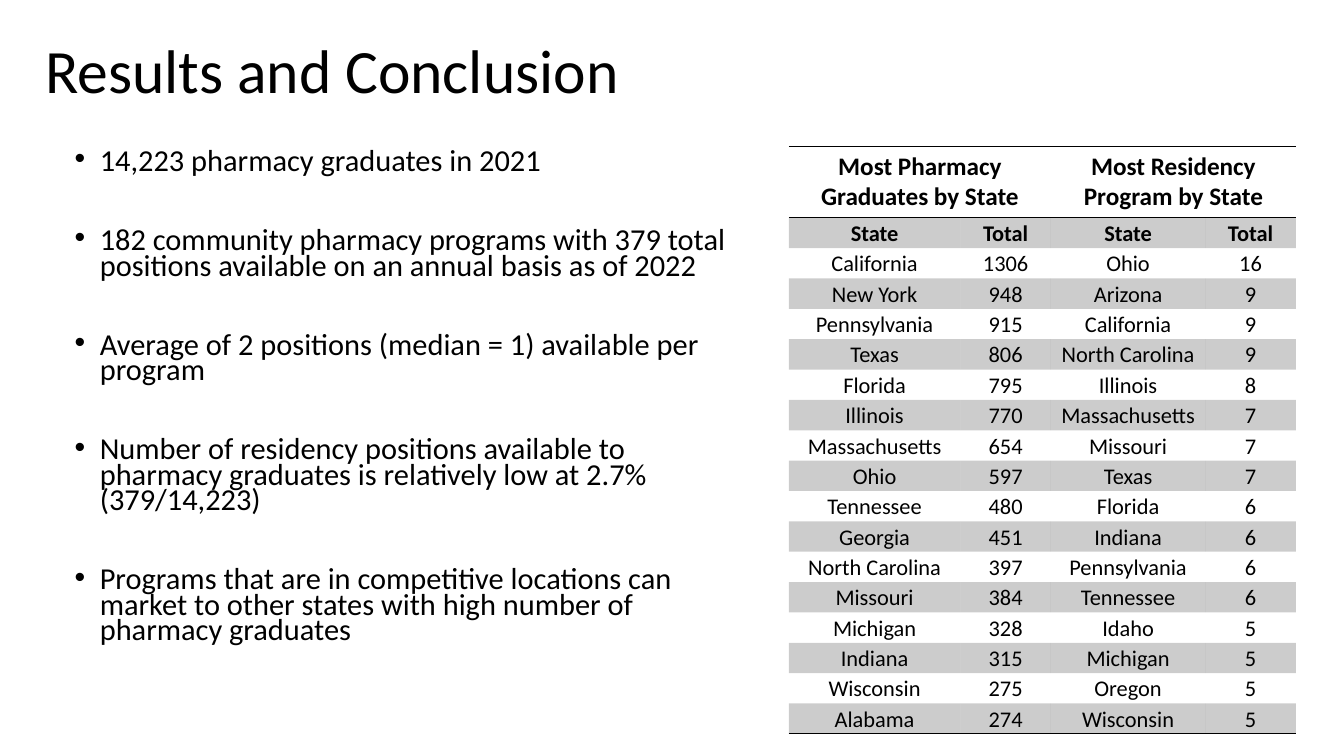
from pptx import Presentation
from pptx.dml.color import RGBColor
from pptx.enum.text import MSO_ANCHOR as Anchor, MSO_AUTO_SIZE as AutoSize, PP_ALIGN as Align
from pptx.oxml.ns import qn
from pptx.oxml.xmlchemy import OxmlElement as Element
from pptx.util import Inches, Pt

WIDTH, HEIGHT = Inches(13.33), Inches(7.5)
FONT, BLACK = "Calibri", "000000"
PLAIN_STYLE = "{2D5ABB26-0587-4C30-8999-92F81FD0307C}"  # no style, no grid

TITLE = "Results and Conclusion"
FINDINGS = [
    "14,223 pharmacy graduates in 2021",
    "182 community pharmacy programs with 379 total positions available "
    "on an annual basis as of 2022",
    "Average of 2 positions (median = 1) available per program",
    "Number of residency positions available to pharmacy graduates is "
    "relatively low at 2.7% (379/14,223)",
    "Programs that are in competitive locations can market to other states "
    "with high number of pharmacy graduates",
]
HEADINGS = ["Most Pharmacy Graduates by State", "Most Residency Program by State"]
STATES = [
    ("State", "Total", "State", "Total"),
    ("California", 1306, "Ohio", 16),
    ("New York", 948, "Arizona", 9),
    ("Pennsylvania", 915, "California", 9),
    ("Texas", 806, "North Carolina", 9),
    ("Florida", 795, "Illinois", 8),
    ("Illinois", 770, "Massachusetts", 7),
    ("Massachusetts", 654, "Missouri", 7),
    ("Ohio", 597, "Texas", 7),
    ("Tennessee", 480, "Florida", 6),
    ("Georgia", 451, "Indiana", 6),
    ("North Carolina", 397, "Pennsylvania", 6),
    ("Missouri", 384, "Tennessee", 6),
    ("Michigan", 328, "Idaho", 5),
    ("Indiana", 315, "Michigan", 5),
    ("Wisconsin", 275, "Oregon", 5),
    ("Alabama", 274, "Wisconsin", 5),
]
COLUMN_SHARES = [12.75, 6.75, 11.48, 6.75]
HEADING_SHARE, ROW_SHARE = 9.47, 4.02


def across(share):
    """Percent of the slide width."""
    return int(WIDTH * share / 100)


def down(share):
    """Percent of the slide height."""
    return int(HEIGHT * share / 100)


def color(hex_code):
    return RGBColor.from_string(hex_code)


def set_all(target, formats):
    for name, value in formats.items():
        setattr(target, name, value)


def place(sp, left, top, width, height):
    set_all(sp, {"left": across(left), "top": down(top),
                 "width": across(width), "height": down(height)})


def write(p, text, size, bold=False, **formats):
    r = p.add_run()
    r.text = str(text)
    set_all(r.font, {"name": FONT, "size": Pt(size), "bold": bold})
    r.font.color.rgb = color(BLACK)
    set_all(p, formats)


def fill_title(sp):
    place(sp, 2.6, 0, 86.27, 19.33)
    set_all(sp.text_frame, {"auto_size": AutoSize.NONE, "vertical_anchor": Anchor.MIDDLE})
    write(sp.text_frame.paragraphs[0], TITLE, 44, alignment=Align.LEFT, line_spacing=0.9)


def fill_findings(sp):
    place(sp, 4.8, 19.33, 51.69, 74.67)
    tf = sp.text_frame
    set_all(tf, {"auto_size": AutoSize.NONE, "vertical_anchor": Anchor.TOP})
    for i, finding in enumerate(FINDINGS):
        p = tf.add_paragraph() if i else tf.paragraphs[0]
        write(p, finding, 21.7, line_spacing=0.7, space_before=Pt(38.2 if i else 10))
        pPr = p._p.get_or_add_pPr()
        pPr.set("marL", str(Inches(0.25)))
        pPr.set("indent", str(-Inches(0.25)))


def rule(cell, *edges):
    """Thin black line on the named cell edges."""
    for edge in edges:
        line = Element(f"a:{edge}")
        line.set("w", str(Pt(1)))
        fill = Element("a:solidFill")
        tone = Element("a:srgbClr")
        tone.set("val", BLACK)
        fill.append(tone)
        line.append(fill)
        cell._tc.get_or_add_tcPr().append(line)


def shade(cell, opacity):
    if not opacity:
        cell.fill.background()
        return
    cell.fill.solid()
    cell.fill.fore_color.rgb = color(BLACK)
    alpha = Element("a:alpha")
    alpha.set("val", str(opacity * 1000))
    cell._tc.tcPr.find(qn("a:solidFill")).find(qn("a:srgbClr")).append(alpha)


def add_state_table(s):
    frame = s.shapes.add_table(len(STATES) + 1, len(COLUMN_SHARES), 0, 0, WIDTH, HEIGHT)
    table = frame.table
    set_all(table, {"first_row": False, "horz_banding": False})
    table._tbl.tblPr.find(qn("a:tableStyleId")).text = PLAIN_STYLE
    for column, share in zip(table.columns, COLUMN_SHARES):
        column.width = across(share)
    for i, row in enumerate(table.rows):
        row.height = down(ROW_SHARE if i else HEADING_SHARE)
    place(frame, 58.7, 19.33, sum(COLUMN_SHARES), HEADING_SHARE + ROW_SHARE * len(STATES))

    # Merged headings
    for i, heading in enumerate(HEADINGS):
        pair = [table.cell(0, 2 * i), table.cell(0, 2 * i + 1)]
        pair[0].merge(pair[1])
        pair[0].vertical_anchor = Anchor.MIDDLE
        write(pair[0].text_frame.paragraphs[0], heading, 18, True, alignment=Align.CENTER)
        for cell in pair:
            rule(cell, "lnT", "lnB")
            shade(cell, 0)

    # Column labels and figures, every other row shaded
    cell_format = {"vertical_anchor": Anchor.MIDDLE, "margin_top": 0, "margin_bottom": 0,
                   "margin_left": Inches(0.07), "margin_right": Inches(0.07)}
    for i, values in enumerate(STATES):
        for j, value in enumerate(values):
            cell = table.cell(i + 1, j)
            set_all(cell, cell_format)
            write(cell.text_frame.paragraphs[0], value, 16, i == 0,
                  alignment=Align.CENTER, line_spacing=1.07)
            if i == len(STATES) - 1:
                rule(cell, "lnB")
            shade(cell, 0 if i % 2 else 20)


def main():
    prs = Presentation()
    set_all(prs, {"slide_width": WIDTH, "slide_height": HEIGHT})
    s = prs.slides.add_slide(prs.slide_layouts[1])
    fill_title(s.shapes.title)
    fill_findings(s.placeholders[1])
    add_state_table(s)
    prs.save("out.pptx")


main()
